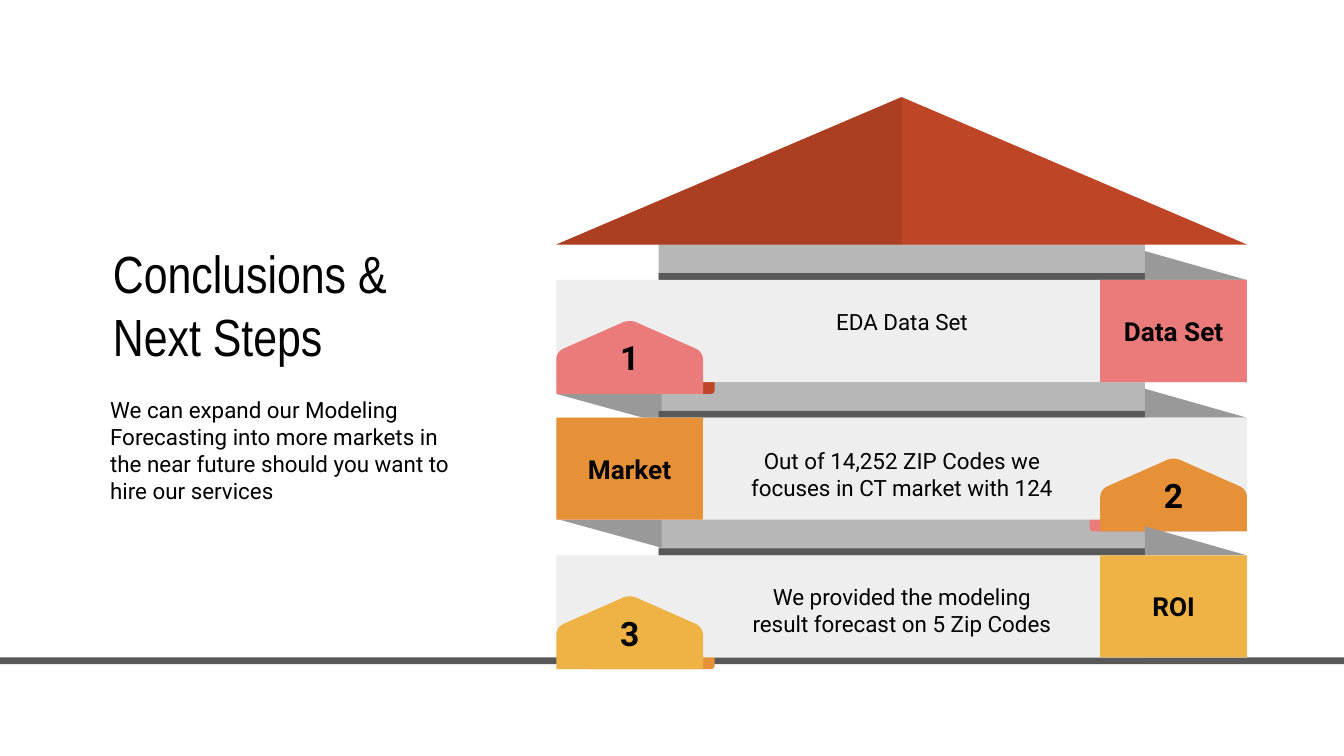
from lxml import etree
from pptx import Presentation
from pptx.dml.color import RGBColor
from pptx.enum.shapes import MSO_SHAPE
from pptx.enum.text import MSO_ANCHOR, MSO_AUTO_SIZE, PP_ALIGN
from pptx.oxml.ns import qn
from pptx.util import Pt

BLACK = RGBColor(0x00, 0x00, 0x00)
DARK = RGBColor(0x59, 0x59, 0x59)
WALL = RGBColor(0xB7, 0xB7, 0xB7)
FOLD = RGBColor(0x99, 0x99, 0x99)
PANEL = RGBColor(0xEE, 0xEE, 0xEE)
BRICK = RGBColor(0xBE, 0x46, 0x26)
PINK = RGBColor(0xEB, 0x7B, 0x7B)
ORANGE = RGBColor(0xE6, 0x91, 0x38)
YELLOW = RGBColor(0xEE, 0xB2, 0x45)

HOUSE_LEFT, HOUSE_RIGHT = 298, 668
WALL_LEFT, WALL_RIGHT = 352.8, 613.4
EAVES, GROUND = 131, 352.2
FLOOR_TOP, FLOOR_PITCH, FLOOR_HEIGHT = 150, 73.75, 54.7
LABEL_WIDTH, BADGE_HEIGHT = 78.6, 39
FOLD_HEIGHT, LEDGE_HEIGHT = 15.5, 3.7

# number, label, finding, finding offset, colour, tab colour, badge on left, fold offset
FLOORS = [
    ("1", "Data Set", "EDA Data Set", 7.8, PINK, BRICK, True, 61),
    ("2", "Market", "Out of 14,252 ZIP Codes we focuses in CT market with 124",
     8.8, ORANGE, PINK, False, 54.2),
    ("3", "ROI", "We provided the modeling result forecast on 5 Zip Codes",
     7.8, YELLOW, ORANGE, True, None),
]


def paint(shape, color):
    """Give a shape a flat fill without line or shadow."""
    shape.fill.solid()
    shape.fill.fore_color.rgb = color
    shape.line.fill.background()
    shape.shadow.inherit = False
    return shape


def block(shapes, left, top, width, height, color, preset=MSO_SHAPE.RECTANGLE):
    """Add a flat preset shape."""
    return paint(shapes.add_shape(preset, Pt(left), Pt(top), Pt(width), Pt(height)), color)


def polygon(shapes, points, color):
    """Add a flat closed outline."""
    corners = [(Pt(x), Pt(y)) for x, y in points]
    builder = shapes.build_freeform(*corners[0])
    builder.add_line_segments(corners[1:], close=True)
    return paint(builder.convert_to_shape(), color)


def write(shape, text, size, font="Roboto", bold=False,
          align=PP_ALIGN.CENTER, anchor=MSO_ANCHOR.MIDDLE):
    """Set and format the text of a shape."""
    frame = shape.text_frame
    frame.text = text
    frame.word_wrap = True
    frame.auto_size = MSO_AUTO_SIZE.NONE
    frame.vertical_anchor = anchor
    frame.margin_left = frame.margin_right = Pt(7.2)
    frame.margin_top = frame.margin_bottom = Pt(7.2)
    paragraph = frame.paragraphs[0]
    paragraph.alignment = align
    paragraph.space_before = Pt(0)
    style = paragraph.runs[0].font
    style.name, style.size, style.bold = font, Pt(size), bold
    style.color.rgb = BLACK


def place(shape, left, top, width, height):
    """Move and size a placeholder."""
    shape.left, shape.top = Pt(left), Pt(top)
    shape.width, shape.height = Pt(width), Pt(height)


def curve(start, control_a, control_b, end, steps=8):
    """Return points along a cubic curve."""
    points = []
    for step in range(steps + 1):
        t = step / steps
        weights = ((1 - t) ** 3, 3 * t * (1 - t) ** 2, 3 * t ** 2 * (1 - t), t ** 3)
        points.append(tuple(sum(w * p[axis] for w, p in zip(
            weights, (start, control_a, control_b, end))) for axis in (0, 1)))
    return points


def badge(shapes, left, top, color):
    """Add a house-shaped badge with rounded peak and shoulders."""
    middle = LABEL_WIDTH / 2
    half = curve((middle, 0), (middle - 1.3, 0), (middle - 2.6, 0.3), (middle - 3.8, 0.8))
    half += curve((3.8, 14.8), (1.5, 15.9), (0, 18.2), (0, 20.7))
    half.append((0, BADGE_HEIGHT))
    mirrored = [(LABEL_WIDTH - x, y) for x, y in reversed(half[1:])]
    return polygon(shapes, [(left + x, top + y) for x, y in half + mirrored], color)


def roof(slide):
    """Draw the roof with its shaded left half."""
    shapes = slide.shapes.add_group_shape().shapes
    peak = ((HOUSE_LEFT + HOUSE_RIGHT) / 2, 52)
    left_eave = (HOUSE_LEFT, EAVES)
    polygon(shapes, [peak, left_eave, (HOUSE_RIGHT, EAVES)], BRICK)
    shade = polygon(shapes, [peak, left_eave, (peak[0], EAVES)], BLACK)
    tint = shade.fill._xPr.find(qn("a:solidFill"))[0]
    etree.SubElement(tint, qn("a:alpha")).set("val", "9000")


def floor(slide, top, number, label, finding, finding_offset, color, tab_color,
          badge_on_left, fold_offset):
    """Draw one storey: folds, tab, panel, badge, label and finding."""
    shapes = slide.shapes.add_group_shape().shapes
    if fold_offset is not None:
        fold_top, fold_right = top + fold_offset, WALL_LEFT + 1.7
        polygon(shapes, [(HOUSE_LEFT, fold_top), (fold_right, fold_top + FOLD_HEIGHT),
                         (fold_right, fold_top)], FOLD)
    polygon(shapes, [(WALL_RIGHT, top - FOLD_HEIGHT), (WALL_RIGHT, top),
                     (HOUSE_RIGHT, top)], FOLD)
    sides = [HOUSE_LEFT, HOUSE_RIGHT - LABEL_WIDTH]
    badge_left, label_left = sides if badge_on_left else reversed(sides)
    tab = block(shapes, 313.3 if badge_on_left else 583.8, top + 48.3, 69.5, 12.7,
                tab_color, MSO_SHAPE.ROUNDED_RECTANGLE)
    tab.adjustments[0] = 0.14
    block(shapes, HOUSE_LEFT, top, HOUSE_RIGHT - HOUSE_LEFT, FLOOR_HEIGHT, PANEL)
    write(badge(shapes, badge_left, top + 22, color), number, 18, bold=True)
    write(block(shapes, label_left, top, LABEL_WIDTH, FLOOR_HEIGHT, color),
          label, 14, bold=True)
    finding_box = slide.shapes.add_textbox(
        Pt(392.2), Pt(top + finding_offset), Pt(182), Pt(39))
    write(finding_box, finding, 12, anchor=MSO_ANCHOR.TOP)


def main():
    """Build the slide and save it."""
    deck = Presentation()
    deck.slide_width, deck.slide_height = Pt(720), Pt(405)
    slide = deck.slides.add_slide(deck.slide_layouts[0])

    title, summary = slide.placeholders
    place(title, 53.3, 129.6, 195.8, 67)
    write(title, "Conclusions & Next Steps", 28, font="Arial Narrow", align=PP_ALIGN.LEFT)
    place(summary, 51.8, 205.2, 198, 70.6)
    write(summary, "We can expand our Modeling Forecasting into more markets in the near "
          "future should you want to hire our services", 12,
          align=PP_ALIGN.LEFT, anchor=MSO_ANCHOR.TOP)

    block(slide.shapes, 0, GROUND, 720, 3.6, DARK)
    wall_width = WALL_RIGHT - WALL_LEFT
    block(slide.shapes, WALL_LEFT, 111.6, wall_width, GROUND - 111.6, WALL)
    roof(slide)
    for index, content in enumerate(FLOORS):
        top = FLOOR_TOP + index * FLOOR_PITCH
        block(slide.shapes, WALL_LEFT, top - LEDGE_HEIGHT, wall_width, LEDGE_HEIGHT, DARK)
        floor(slide, top, *content)

    deck.save("out.pptx")


main()
